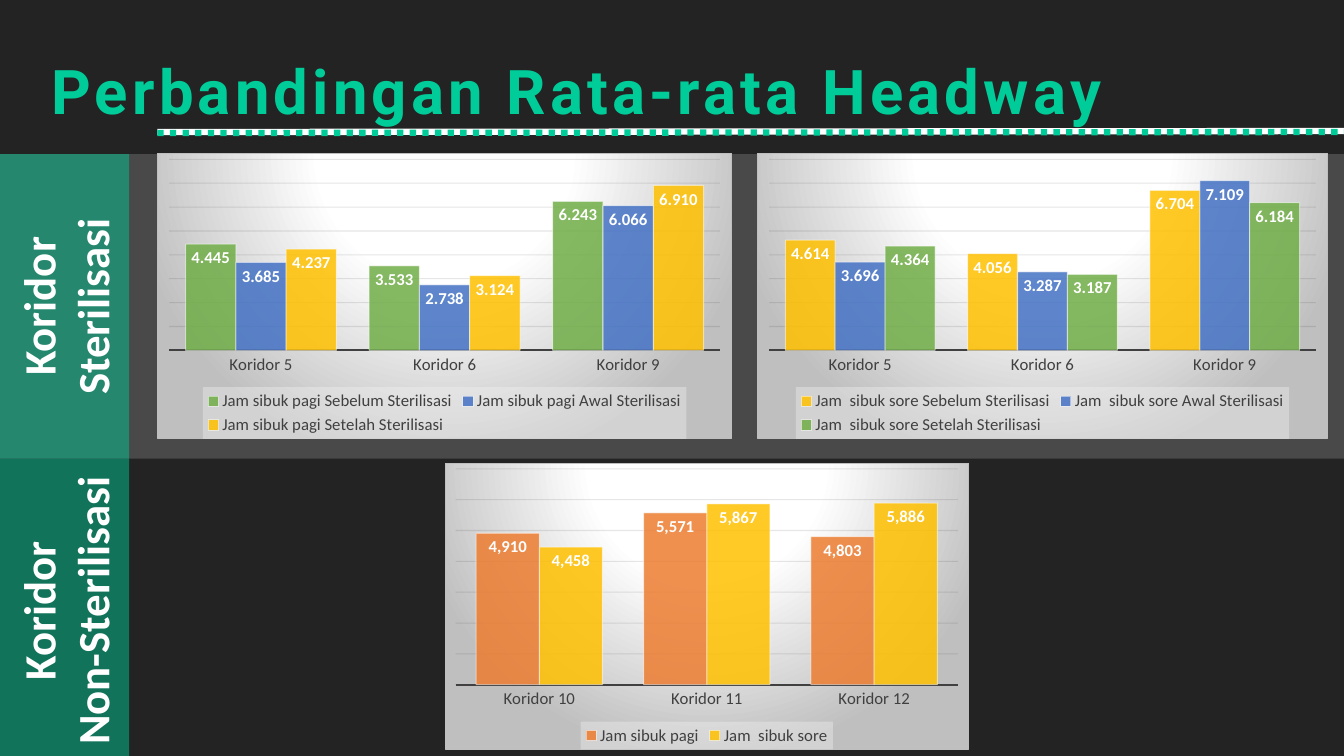
"""Build a slide comparing average headway across corridors."""
from dataclasses import dataclass

from lxml.etree import SubElement
from pptx import Presentation
from pptx.chart.data import CategoryChartData
from pptx.dml.color import RGBColor
from pptx.enum.chart import XL_CHART_TYPE as ChartType
from pptx.enum.chart import XL_LABEL_POSITION as LabelPos
from pptx.enum.chart import XL_LEGEND_POSITION as LegendPos
from pptx.enum.chart import XL_TICK_MARK as TickMark
from pptx.enum.dml import MSO_LINE
from pptx.enum.shapes import MSO_CONNECTOR, MSO_SHAPE
from pptx.enum.text import MSO_ANCHOR, PP_ALIGN
from pptx.oxml import parse_xml
from pptx.oxml.ns import nsdecls, qn
from pptx.slide import Slide
from pptx.util import Inches, Pt

DARK = RGBColor(0x23, 0x23, 0x23)
PALE = RGBColor(0xF2, 0xF2, 0xF2)
WHITE = RGBColor(0xFF, 0xFF, 0xFF)
MINT = RGBColor(0x00, 0xCC, 0x99)
GREEN = RGBColor(0x70, 0xAD, 0x47)
BLUE = RGBColor(0x44, 0x72, 0xC4)
YELLOW = RGBColor(0xFF, 0xC0, 0x00)
ORANGE = RGBColor(0xED, 0x7D, 0x31)
INK = RGBColor(0x40, 0x40, 0x40)
GRID = RGBColor(0x0D, 0x0D, 0x0D)

BODY_FONT = "Calibri"
SLIDE_W = 13.33
BAND_TOP, BAND_H = 1.53, 3.02
RULE_LEFT = 1.56

CHART_FILL = f"""<c:spPr {nsdecls("c", "a")}>
<a:gradFill><a:gsLst>
<a:gs pos="0"><a:srgbClr val="FFFFFF"/></a:gs>
<a:gs pos="39000"><a:srgbClr val="FFFFFF"/></a:gs>
<a:gs pos="100000"><a:srgbClr val="BFBFBF"/></a:gs>
</a:gsLst><a:path path="circle">
<a:fillToRect l="50000" t="-80000" r="50000" b="180000"/>
</a:path></a:gradFill>
<a:ln w="9525"><a:solidFill><a:srgbClr val="BFBFBF"/></a:solidFill></a:ln>
</c:spPr>"""
LEGEND_FILL = f"""<c:spPr {nsdecls("c", "a")}><a:solidFill>
<a:srgbClr val="F2F2F2"><a:alpha val="39000"/></a:srgbClr>
</a:solidFill></c:spPr>"""


@dataclass
class Series:
    name: str
    values: tuple[float, ...]
    color: RGBColor


@dataclass
class HeadwayChart:
    left: float
    top: float
    width: float
    height: float
    corridors: tuple[str, ...]
    series: list[Series]
    axis_max: float
    unit: float
    fmt: str


STERILE = ("Koridor 5", "Koridor 6", "Koridor 9")
CHARTS = [
    HeadwayChart(1.56, 1.52, 5.7, 2.84, STERILE, [
        Series("Jam sibuk pagi Sebelum Sterilisasi", (4.445, 3.533, 6.243), GREEN),
        Series("Jam sibuk pagi Awal Sterilisasi", (3.685, 2.738, 6.066), BLUE),
        Series("Jam sibuk pagi Setelah Sterilisasi", (4.237, 3.124, 6.910), YELLOW),
    ], 8, 1, "#,##0.000"),
    HeadwayChart(7.51, 1.52, 5.66, 2.84, STERILE, [
        Series("Jam  sibuk sore Sebelum Sterilisasi", (4.614, 4.056, 6.704), YELLOW),
        Series("Jam  sibuk sore Awal Sterilisasi", (3.696, 3.287, 7.109), BLUE),
        Series("Jam  sibuk sore Setelah Sterilisasi", (4.364, 3.187, 6.184), GREEN),
    ], 8, 1, "#,##0.000"),
    HeadwayChart(4.41, 4.59, 5.2, 2.85, ("Koridor 10", "Koridor 11", "Koridor 12"), [
        Series("Jam sibuk pagi", (4910, 5571, 4803), ORANGE),
        Series("Jam  sibuk sore", (4458, 5867, 5886), YELLOW),
    ], 7000, 1000, "#,##0"),
]
PANELS = [["Koridor Sterilisasi"], ["Koridor", "Non-Sterilisasi"]]


def set_alpha(colors: list, percent: int) -> None:
    for color in colors:
        SubElement(color, qn("a:alpha")).set("val", str(percent * 1000))


def set_font(font, size: float, color: RGBColor, name: str = BODY_FONT, bold: bool = False) -> None:
    font.size, font.name, font.bold = Pt(size), name, bold
    font.color.rgb = color


def add_block(slide: Slide, top: float, width: float, color: RGBColor, alpha: int):
    sp = slide.shapes.add_shape(
        MSO_SHAPE.RECTANGLE, 0, Inches(top), Inches(width), Inches(BAND_H))
    sp.shadow.inherit = False
    sp.fill.solid()
    sp.fill.fore_color.rgb = color
    sp.line.fill.background()
    set_alpha(sp.element.xpath("./p:spPr/a:solidFill/a:srgbClr"), alpha)
    return sp


def add_panel(slide: Slide, top: float, lines: list[str]) -> None:
    sp = add_block(slide, top, 1.28, MINT, 48)
    tf = sp.text_frame
    tf.word_wrap = True
    tf.vertical_anchor = MSO_ANCHOR.MIDDLE
    sp.element.xpath(".//a:bodyPr")[0].set("vert", "vert270")
    for i, line in enumerate(lines):
        p = tf.add_paragraph() if i else tf.paragraphs[0]
        p.alignment = PP_ALIGN.CENTER
        r = p.add_run()
        r.text = line
        set_font(r.font, 32, WHITE, bold=True)


def add_title(slide: Slide, text: str) -> None:
    sp = slide.shapes.title
    sp.left, sp.top = Inches(0.41), Inches(0.47)
    sp.width, sp.height = Inches(12.8), Inches(0.84)
    tf = sp.text_frame
    tf.vertical_anchor = MSO_ANCHOR.TOP
    p = tf.paragraphs[0]
    p.alignment = PP_ALIGN.LEFT
    r = p.add_run()
    r.text = text
    set_font(r.font, 44, MINT, "Roboto", True)
    sp.element.xpath(".//a:rPr")[0].set("spc", "300")


def add_rule(slide: Slide, y: float, color: RGBColor, dash: MSO_LINE) -> None:
    line = slide.shapes.add_connector(
        MSO_CONNECTOR.STRAIGHT, Inches(RULE_LEFT), Inches(y), Inches(SLIDE_W), Inches(y - 0.01))
    line.line.color.rgb = color
    line.line.width = Pt(4.5)
    line.line.dash_style = dash
    SubElement(line.element.spPr, qn("a:effectLst"))


def add_headway_chart(slide: Slide, spec_: HeadwayChart) -> None:
    data = CategoryChartData(number_format=spec_.fmt)
    data.categories = spec_.corridors
    for item in spec_.series:
        data.add_series(item.name, item.values)
    chart = slide.shapes.add_chart(
        ChartType.COLUMN_CLUSTERED, Inches(spec_.left), Inches(spec_.top),
        Inches(spec_.width), Inches(spec_.height), data).chart
    chart.has_title = False
    chart.font.size, chart.font.name = Pt(10), BODY_FONT
    chart.element.find(qn("c:chart")).addnext(parse_xml(CHART_FILL))

    plot = chart.plots[0]
    plot.gap_width, plot.overlap, plot.vary_by_categories = 65, 0, False
    for ser, item in zip(plot.series, spec_.series):
        ser.format.fill.solid()
        ser.format.fill.fore_color.rgb = item.color
        ser.format.line.color.rgb = WHITE
        ser.format.line.width = Pt(0.75)
        labels = ser.data_labels
        labels.show_value = True
        labels.position = LabelPos.INSIDE_END
        labels.number_format, labels.number_format_is_linked = spec_.fmt, False
        set_font(labels.font, 12, WHITE, bold=True)

    cat = chart.category_axis
    cat.major_tick_mark = cat.minor_tick_mark = TickMark.NONE
    cat.format.line.color.rgb = INK
    cat.format.line.width = Pt(1.5)
    set_font(cat.tick_labels.font, 12, INK)
    val = chart.value_axis
    val.visible = False
    val.minimum_scale, val.maximum_scale, val.major_unit = 0, spec_.axis_max, spec_.unit
    val.has_major_gridlines = True
    val.major_gridlines.format.line.color.rgb = GRID
    val.major_gridlines.format.line.width = Pt(0.75)

    chart.has_legend = True
    legend = chart.legend
    legend.position, legend.include_in_layout = LegendPos.BOTTOM, False
    set_font(legend.font, 12, INK)
    chart.element.xpath(".//c:legend/c:txPr")[0].addprevious(parse_xml(LEGEND_FILL))

    set_alpha(chart.element.xpath(".//c:ser/c:spPr/a:solidFill/a:srgbClr"), 85)
    set_alpha(chart.element.xpath(".//c:ser/c:spPr/a:ln//a:srgbClr"), 50)
    set_alpha(chart.element.xpath(".//c:majorGridlines//a:srgbClr"), 10)


def main() -> None:
    prs = Presentation()
    prs.slide_width, prs.slide_height = Inches(SLIDE_W), Inches(7.5)
    slide = prs.slides.add_slide(prs.slide_layouts[5])
    slide.background.fill.solid()
    slide.background.fill.fore_color.rgb = DARK
    add_block(slide, BAND_TOP, SLIDE_W, PALE, 19)
    add_title(slide, "Perbandingan Rata-rata Headway")
    add_rule(slide, 1.31, WHITE, MSO_LINE.SOLID)
    add_rule(slide, 1.32, MINT, MSO_LINE.ROUND_DOT)
    for i, lines in enumerate(PANELS):
        add_panel(slide, BAND_TOP + i * BAND_H, lines)
    for chart in CHARTS:
        add_headway_chart(slide, chart)
    prs.save("out.pptx")


if __name__ == "__main__":
    main()
